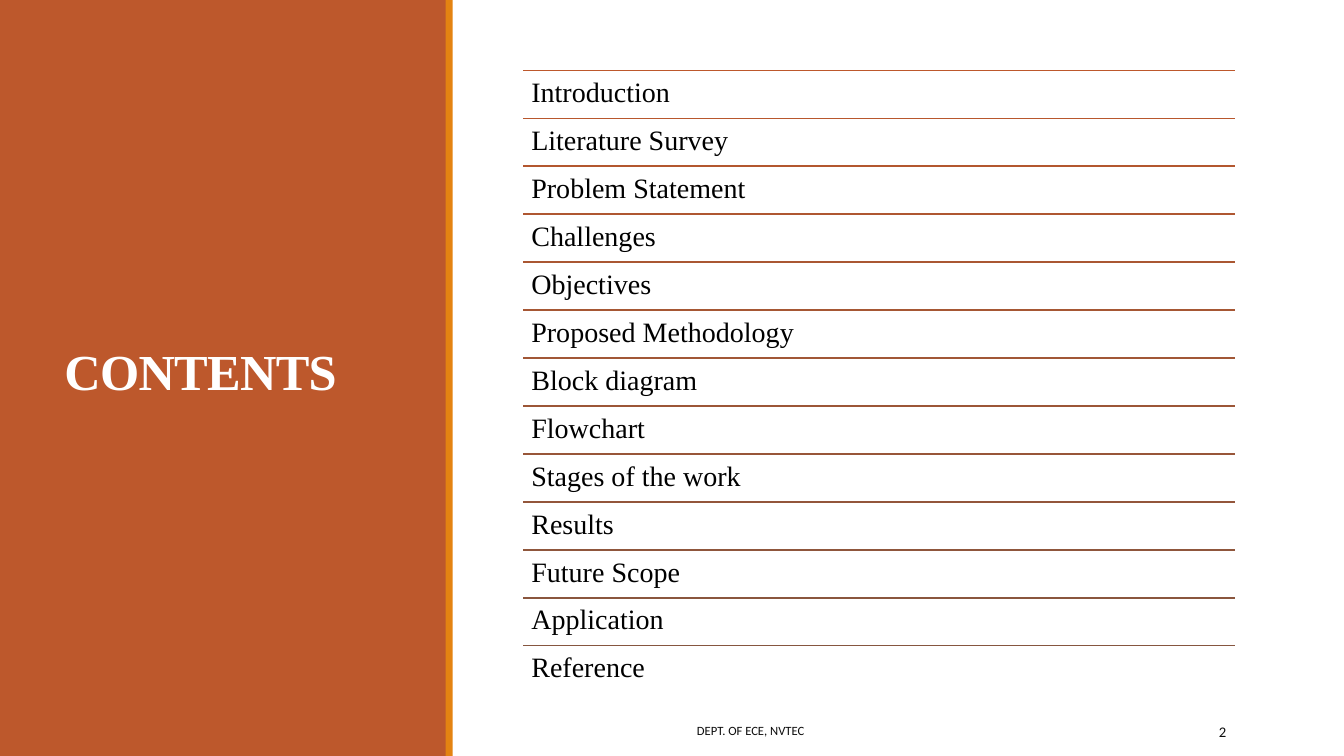
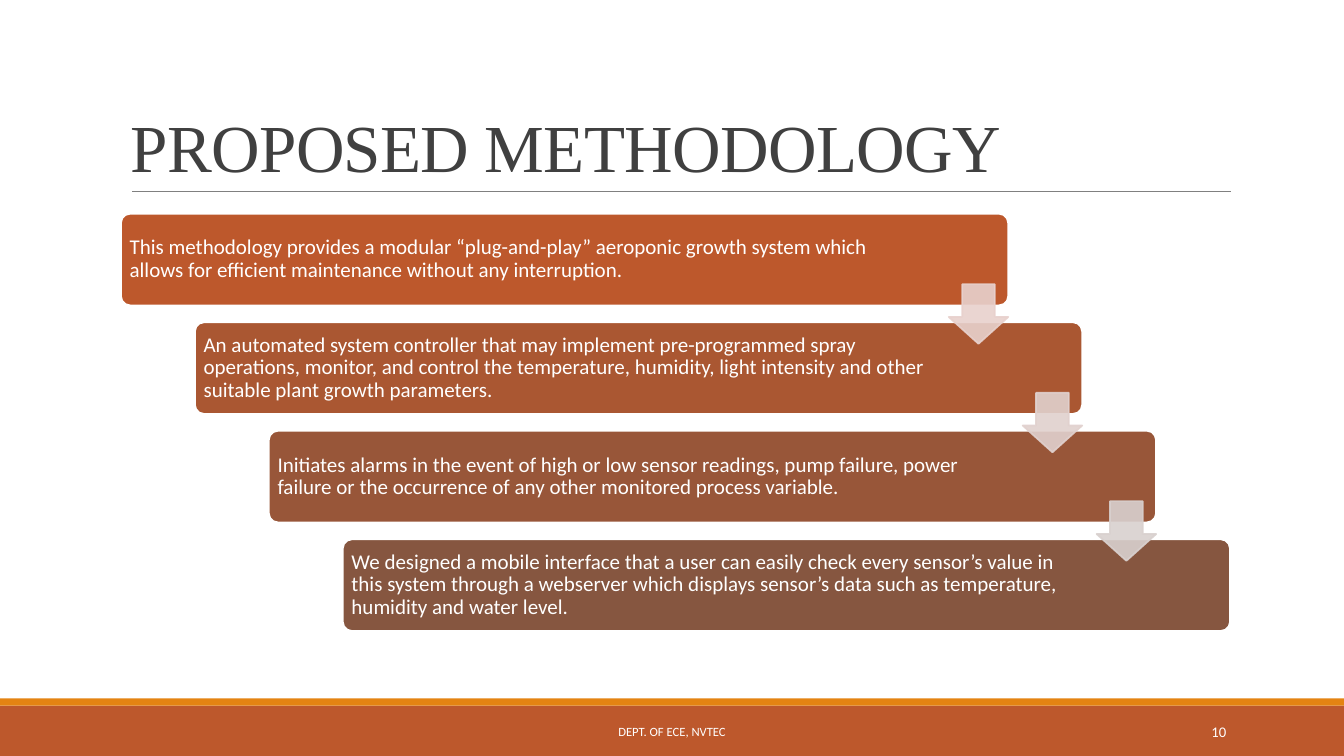
"""Builds a contents slide and a stepped methodology slide."""
from dataclasses import dataclass

from lxml.etree import SubElement
from pptx import Presentation
from pptx.dml.color import RGBColor
from pptx.enum.shapes import MSO_CONNECTOR, MSO_SHAPE
from pptx.enum.text import MSO_ANCHOR, PP_ALIGN
from pptx.oxml.ns import qn
from pptx.util import Inches, Pt


@dataclass(frozen=True)
class Theme:
    rust: str = "BD582C"
    brown: str = "865640"
    orange: str = "E48312"
    white: str = "FFFFFF"
    black: str = "000000"
    footer_dark: str = "0D0D0D"
    title_gray: str = "404040"
    rule_gray: str = "808080"
    serif: str = "Times New Roman"
    sans: str = "Calibri"
    panel_title: float = 36
    title: float = 48
    topic: float = 20
    step: float = 15
    footer: float = 9
    number: float = 10.5
    line: float = 1.25


T = Theme()
FOOTER = "DEPT. OF ECE, NVTEC"

TOPICS = [
    "Introduction", "Literature Survey", "Problem Statement", "Challenges",
    "Objectives", "Proposed Methodology", "Block diagram", "Flowchart",
    "Stages of the work", "Results", "Future Scope", "Application", "Reference",
]

STEPS = [
    ("This methodology provides a modular “plug-and-play” aeroponic growth system "
     "which allows for efficient maintenance without any interruption.", 1.06),
    ("An automated system controller that may implement pre-programmed spray "
     "operations, monitor, and control the temperature, humidity, light intensity "
     "and other suitable plant growth parameters.", 1.38),
    ("Initiates alarms in the event of high or low sensor readings, pump failure, "
     "power failure or the occurrence of any other monitored process variable.", 1.38),
    ("We designed a mobile interface that a user can easily check every sensor’s "
     "value in this system through a webserver which displays sensor’s data such as "
     "temperature, humidity and water level.", 1.38),
]
ARROW_COLORS = ["E8D1CD", "E1D1CE", "D9D1CF"]


def rgb(color):
    return RGBColor.from_string(color)


def blend(i, count):
    start, end = rgb(T.rust), rgb(T.brown)
    return str(RGBColor(*(int(a + (b - a) * i / (count - 1)) for a, b in zip(start, end))))


def write(sp, text, size, font, color, align=PP_ALIGN.LEFT, anchor=MSO_ANCHOR.MIDDLE,
          insets=(0.1, 0.05, 0.1, 0.05), spacing=1.0, bold=False, tracking=None):
    tf = sp.text_frame
    tf.word_wrap = True
    tf.vertical_anchor = anchor
    tf.margin_left, tf.margin_top, tf.margin_right, tf.margin_bottom = map(Inches, insets)
    p = tf.paragraphs[0]
    p.alignment, p.line_spacing = align, spacing
    r = p.add_run()
    r.text = text
    r.font.size, r.font.name, r.font.bold = Pt(size), font, bold
    r.font.color.rgb = rgb(color)
    if tracking:
        r.font._element.set("spc", str(tracking))


def add_text(s, box, *args, **style):
    write(s.shapes.add_textbox(*map(Inches, box)), *args, **style)


def add_block(s, box, fill, kind=MSO_SHAPE.RECTANGLE, line=None, adjust=()):
    sp = s.shapes.add_shape(kind, *map(Inches, box))
    sp.shadow.inherit = False
    sp.fill.solid()
    sp.fill.fore_color.rgb = rgb(fill)
    if line:
        sp.line.color.rgb = rgb(line)
        sp.line.width = Pt(T.line)
    else:
        sp.line.fill.background()
    for i, value in enumerate(adjust):
        sp.adjustments[i] = value
    return sp


def add_rule(s, left, right, y, color, width):
    sp = s.shapes.add_connector(MSO_CONNECTOR.STRAIGHT, Inches(left), Inches(y),
                                Inches(right), Inches(y))
    sp.line.color.rgb = rgb(color)
    sp.line.width = Pt(width)
    SubElement(sp._element.spPr, qn("a:effectLst"))


def add_title(s, box, text, size, color, **style):
    add_text(s, box, text, size, T.serif, color, spacing=0.85, tracking=-50, **style)


def add_footer(s, left, top, number, color):
    add_text(s, (left, top, 5.27, 0.4), FOOTER, T.footer, T.sans, color,
             align=PP_ALIGN.CENTER)
    add_text(s, (10.83, 7.06, 1.43, 0.4), number, T.number, T.sans, color,
             align=PP_ALIGN.RIGHT)


def contents_slide(s):
    add_block(s, (0, 0, 4.43, 7.5), T.rust)
    add_block(s, (4.42, 0, 0.07, 7.5), T.orange)
    add_title(s, (0.54, 0.57, 3.37, 6.31), "CONTENTS", T.panel_title, T.white, bold=True)
    left, top, width, bottom = 5.19, 0.7, 7.06, 6.88
    row = (bottom - top) / len(TOPICS)
    for i, topic in enumerate(TOPICS):
        y = top + i * row
        add_rule(s, left, left + width, y, blend(i, len(TOPICS)), T.line)
        add_text(s, (left, y, width, row), topic, T.topic, T.serif, T.black,
                 anchor=MSO_ANCHOR.TOP, insets=(0.08,) * 4, spacing=0.9)
    add_footer(s, 4.81, 7.05, "2", T.footer_dark)


def methodology_slide(s):
    add_block(s, (0, 7, 13.33, 0.5), T.rust)
    add_block(s, (0, 6.93, 13.33, 0.07), T.orange)
    add_rule(s, 1.31, 12.21, 1.9, T.rule_gray, 0.5)
    add_title(s, (1.2, 0.31, 11, 1.59), "PROPOSED METHODOLOGY", T.title, T.title_gray,
              anchor=MSO_ANCHOR.BOTTOM)
    dx, dy = 2.2 / 3, 3.23 / 3
    for i, (text, right) in enumerate(STEPS):
        sp = add_block(s, (1.2 + i * dx, 2.12 + i * dy, 8.8, 0.91), blend(i, len(STEPS)),
                       MSO_SHAPE.ROUNDED_RECTANGLE, T.white, [0.1])
        write(sp, text, T.step, T.sans, T.white, insets=(0.06, 0.06, right, 0.06),
              spacing=0.9)
    for i, color in enumerate(ARROW_COLORS):
        sp = add_block(s, (9.41 + i * dx, 2.82 + i * dy, 0.59, 0.59), color,
                       MSO_SHAPE.DOWN_ARROW, color, [0.55, 0.45])
        for clr in sp._element.spPr.iter(qn("a:srgbClr")):
            SubElement(clr, qn("a:alpha"), val="90000")
    add_footer(s, 4.03, 7.06, "10", T.white)


def main():
    prs = Presentation()
    prs.slide_width, prs.slide_height = Inches(13.33), Inches(7.5)
    for build in (contents_slide, methodology_slide):
        build(prs.slides.add_slide(prs.slide_layouts[6]))
    prs.save("out.pptx")


if __name__ == "__main__":
    main()
